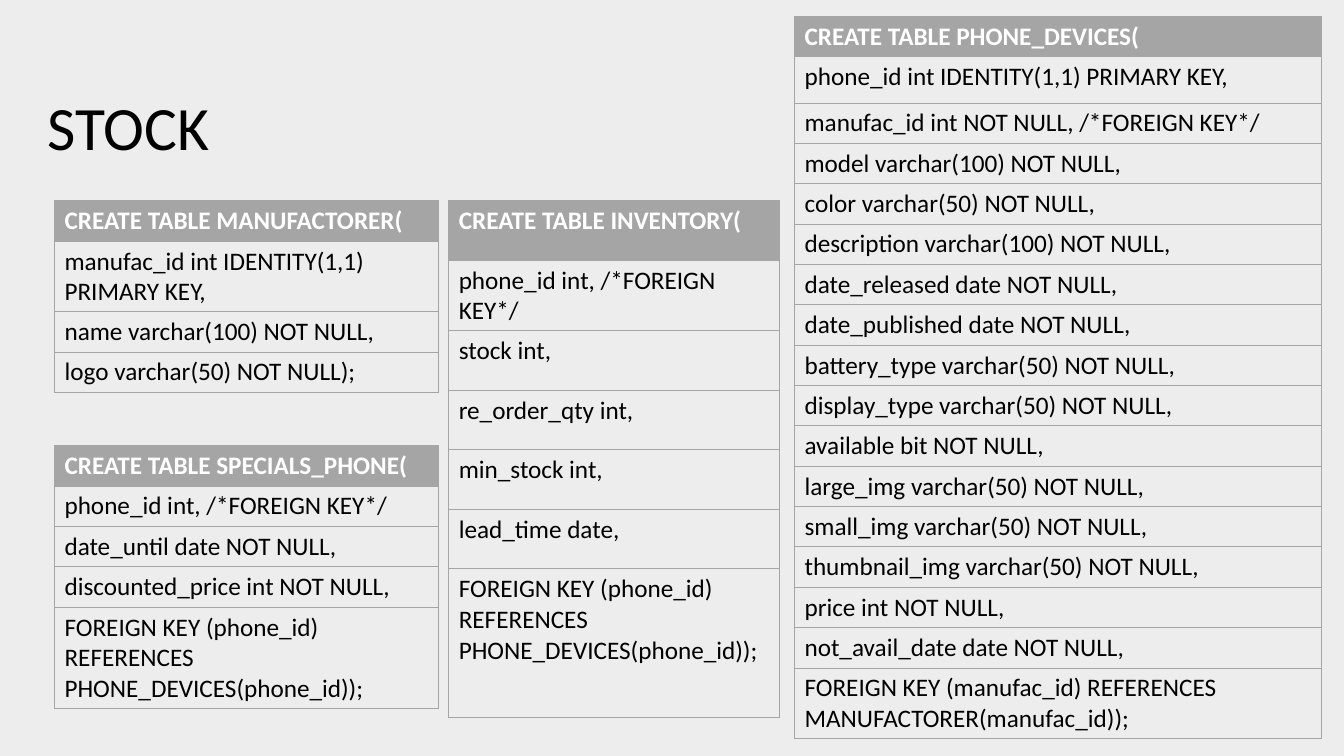
from lxml import etree
from pptx import Presentation
from pptx.dml.color import RGBColor
from pptx.enum import text
from pptx.oxml.ns import qn
from pptx.util import Inches, Pt

BACKGROUND = RGBColor(0xED, 0xED, 0xED)
GRAY = RGBColor(0xA5, 0xA5, 0xA5)
WHITE = RGBColor(0xFF, 0xFF, 0xFF)
BLACK = RGBColor(0, 0, 0)

# Content: left, top, width, usual row height, other row heights, lines
HEADING = "STOCK"
SCHEMAS = [
    (0.54, 1.99, 3.81, 0.4, {1: 0.7}, [
        "CREATE TABLE MANUFACTORER(",
        "manufac_id int IDENTITY(1,1) PRIMARY KEY,",
        "name varchar(100) NOT NULL,",
        "logo varchar(50) NOT NULL);",
    ]),
    (7.88, 0.16, 5.23, 0.4, {1: 0.46, 16: 0.7}, [
        "CREATE TABLE PHONE_DEVICES(",
        "phone_id int IDENTITY(1,1) PRIMARY KEY,",
        "manufac_id int NOT NULL, /*FOREIGN KEY*/",
        "model varchar(100) NOT NULL,",
        "color varchar(50) NOT NULL,",
        "description varchar(100) NOT NULL,",
        "date_released date NOT NULL,",
        "date_published date NOT NULL,",
        "battery_type varchar(50) NOT NULL,",
        "display_type varchar(50) NOT NULL,",
        "available bit NOT NULL,",
        "large_img varchar(50) NOT NULL,",
        "small_img varchar(50) NOT NULL,",
        "thumbnail_img varchar(50) NOT NULL,",
        "price int NOT NULL,",
        "not_avail_date date NOT NULL,",
        "FOREIGN KEY (manufac_id) REFERENCES MANUFACTORER(manufac_id));",
    ]),
    (0.54, 4.42, 3.81, 0.4, {4: 1.0}, [
        "CREATE TABLE SPECIALS_PHONE(",
        "phone_id int, /*FOREIGN KEY*/",
        "date_until date NOT NULL,",
        "discounted_price int NOT NULL,",
        "FOREIGN KEY (phone_id) REFERENCES PHONE_DEVICES(phone_id));",
    ]),
    (4.45, 1.99, 3.28, 0.59, {1: 0.7, 6: 1.48}, [
        "CREATE TABLE INVENTORY(",
        "phone_id int, /*FOREIGN KEY*/",
        "stock int,",
        "re_order_qty int,",
        "min_stock int,",
        "lead_time date,",
        "FOREIGN KEY (phone_id) REFERENCES PHONE_DEVICES(phone_id));",
    ]),
]


def write(paragraph, words, color, size, bold=False):
    run = paragraph.add_run()
    run.text = words
    run.font.color.rgb = color
    for name, value in {"name": "Calibri", "size": Pt(size), "bold": bold}.items():
        setattr(run.font, name, value)


def outline(cell):
    """Draw a thin gray border on all four sides."""
    properties = cell._tc.get_or_add_tcPr()
    for position, side in enumerate(("a:lnL", "a:lnR", "a:lnT", "a:lnB")):
        line = etree.Element(qn(side), w=str(Pt(0.5)))
        fill = etree.SubElement(line, qn("a:solidFill"))
        etree.SubElement(fill, qn("a:srgbClr"), val=str(GRAY))
        properties.insert(position, line)


def add_schema(slide, left, top, width, usual, others, lines):
    heights = [others.get(i, usual) for i in range(len(lines))]
    frame = slide.shapes.add_table(len(lines), 1, Inches(left), Inches(top),
                                   Inches(width), Inches(sum(heights)))
    schema = frame.table
    for i, (line, height) in enumerate(zip(lines, heights)):
        header = i == 0
        schema.rows[i].height = Inches(height)
        cell = schema.cell(i, 0)
        if header:
            cell.fill.solid()
            cell.fill.fore_color.rgb = GRAY
        else:
            cell.fill.background()
        outline(cell)
        write(cell.text_frame.paragraphs[0], line,
              WHITE if header else BLACK, 18, header)


def main():
    deck = Presentation()
    deck.slide_width, deck.slide_height = Inches(13.33), Inches(7.5)
    slide = deck.slides.add_slide(deck.slide_layouts[6])
    slide.background.fill.solid()
    slide.background.fill.fore_color.rgb = BACKGROUND

    # Heading
    heading = slide.shapes.add_textbox(Inches(0.37), Inches(0.83),
                                       Inches(2.37), Inches(0.84)).text_frame
    heading.word_wrap = True
    heading.auto_size = text.MSO_AUTO_SIZE.SHAPE_TO_FIT_TEXT
    write(heading.paragraphs[0], HEADING, BLACK, 44)

    # Table definitions
    for schema in SCHEMAS:
        add_schema(slide, *schema)

    deck.save("out.pptx")


if __name__ == "__main__":
    main()
